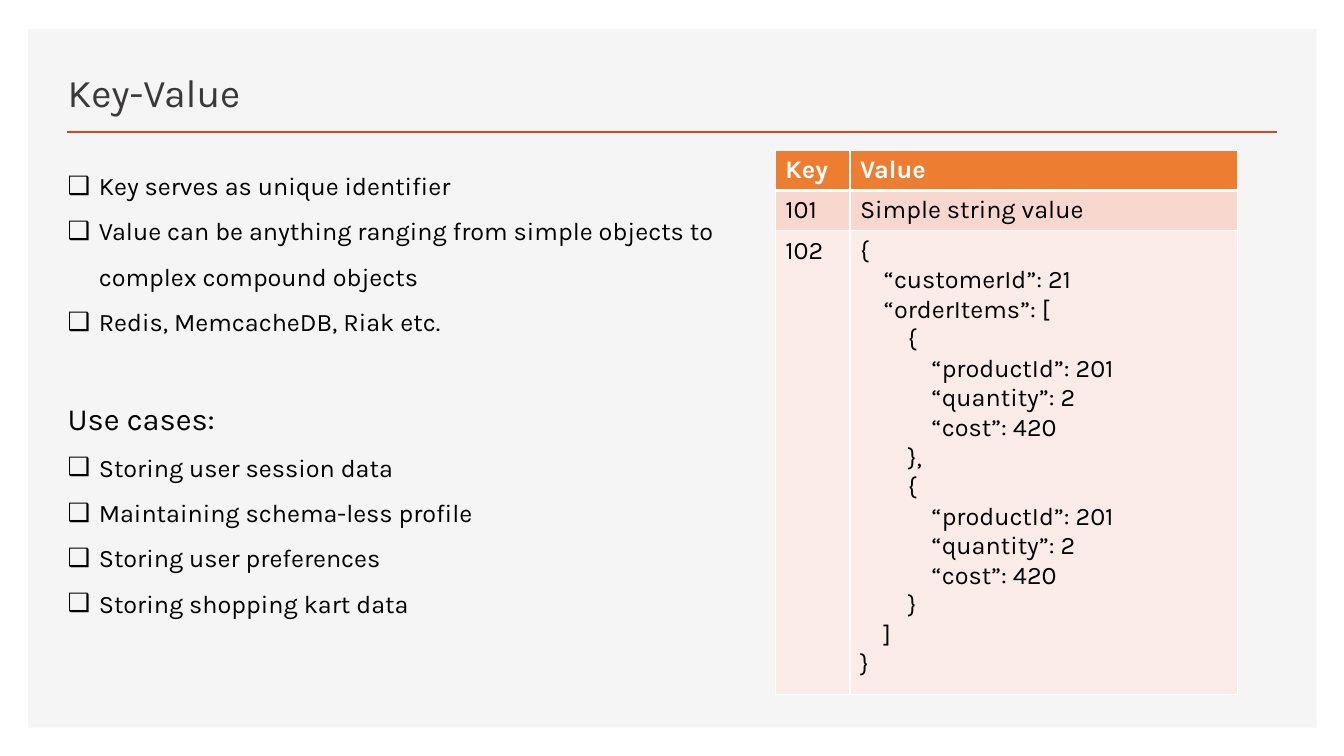
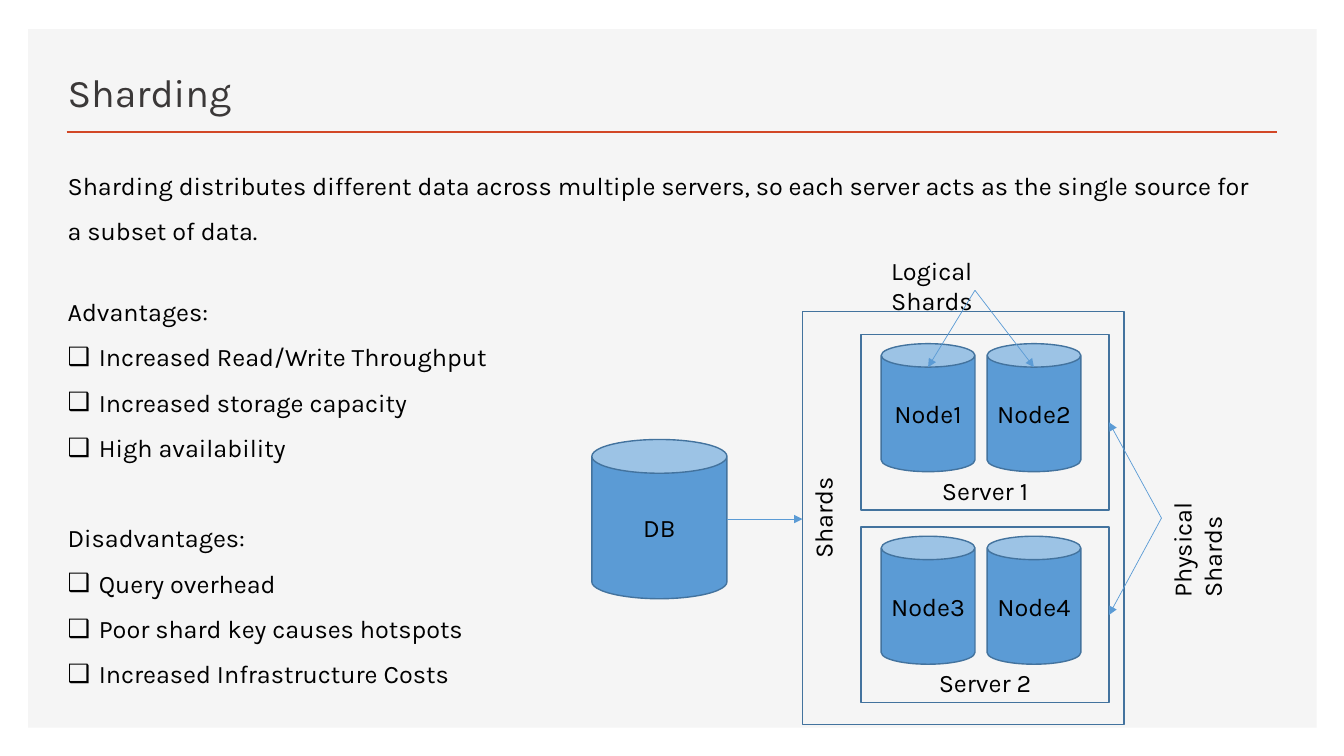
from dataclasses import dataclass

from lxml import etree
from pptx import Presentation
from pptx import util as u
from pptx.dml.color import RGBColor
from pptx.enum import shapes, text
from pptx.oxml import ns


@dataclass(frozen=True)
class Theme:
    font: str = "Karla"
    title_size: int = 28
    heading_size: int = 22
    body_size: int = 18
    paragraph_gap: int = 32
    ink: str = "000000"
    title_ink: str = "3B3838"
    white: str = "FFFFFF"
    band: str = "F5F5F5"
    accent: str = "D24726"
    blue: str = "5B9BD5"
    outline: str = "43739E"
    header: str = "ED7D31"
    rows: tuple = ("F8D7CE", "FCECE8")


@dataclass(frozen=True)
class Box:
    """Left, top, width and height in inches."""
    left: float
    top: float
    width: float
    height: float

    @property
    def right(self):
        return self.left + self.width

    @property
    def center(self):
        return self.left + self.width / 2

    @property
    def middle(self):
        return self.top + self.height / 2

    @property
    def emu(self):
        return [u.Inches(n) for n in (self.left, self.top, self.width, self.height)]

    def inside(self, left, top, width, height):
        return Box(self.left + left, self.top + top, width, height)


THEME = Theme()
PAGE = Box(0, 0, 13.33, 7.5)
BAND = PAGE.inside(0.28, 0.29, 12.78, 6.93)
TITLE = PAGE.inside(0.57, 0.49, 7.52, 0.7)
CONTENT = PAGE.inside(0.57, 1.49, 12.08, 5.4)
RULE_INSET, RULE_TOP = 0.66, 1.31
INDENT = 0.31


# Text and shape helpers
def color(value):
    return RGBColor.from_string(value)


def add_run(para, words, size=THEME.body_size, ink=THEME.ink, bold=False):
    span = para.add_run()
    span.text = words
    span.font.name = THEME.font
    span.font.size = u.Pt(size)
    span.font.color.rgb = color(ink)
    span.font.bold = bold


def fill_lines(frame, lines, **style):
    for number, line in enumerate(lines):
        para = frame.add_paragraph() if number else frame.paragraphs[0]
        add_run(para, line, **style)


def place(shape, box):
    shape.left, shape.top, shape.width, shape.height = box.emu


def set_bullet(para, mark):
    properties = para._p.get_or_add_pPr()
    indent = u.Inches(INDENT) if mark else 0
    properties.set("marL", str(indent))
    properties.set("indent", str(-indent))
    if mark:
        etree.SubElement(properties, ns.qn("a:buChar")).set("char", mark)
    else:
        etree.SubElement(properties, ns.qn("a:buNone"))


def add_preset(page, kind, box, fill=None, line=None):
    shape = page.shapes.add_shape(kind, *box.emu)
    shape.shadow.inherit = False
    if fill:
        shape.fill.solid()
        shape.fill.fore_color.rgb = color(fill)
    else:
        shape.fill.background()
    if line:
        shape.line.color.rgb = color(line)
        shape.line.width = u.Pt(1)
    else:
        shape.line.fill.background()
    return shape


def label(shape, words, anchor, upward=False):
    frame = shape.text_frame
    frame.word_wrap = True
    frame.vertical_anchor = anchor
    frame.paragraphs[0].alignment = text.PP_ALIGN.CENTER
    add_run(frame.paragraphs[0], words)
    if upward:
        turn_up(frame)


def turn_up(frame):
    frame._txBody.bodyPr.set("vert", "vert270")


def add_line(page, start, end, ink, width, arrow=False):
    points = [u.Inches(n) for n in (*start, *end)]
    line = page.shapes.add_connector(shapes.MSO_CONNECTOR.STRAIGHT, *points)
    line.line.color.rgb = color(ink)
    line.line.width = u.Pt(width)
    if arrow:
        outline = line.line._get_or_add_ln()
        etree.SubElement(outline, ns.qn("a:tailEnd")).set("type", "triangle")
    etree.SubElement(line.element.spPr, ns.qn("a:effectLst"))
    return line


def add_arrow(page, start, end):
    add_line(page, start, end, THEME.blue, 0.5, arrow=True)


def add_note(page, words, box, upward=False):
    frame = page.shapes.add_textbox(*box.emu).text_frame
    frame.word_wrap = True
    frame.auto_size = text.MSO_AUTO_SIZE.SHAPE_TO_FIT_TEXT
    add_run(frame.paragraphs[0], words)
    if upward:
        turn_up(frame)


# Shared page parts
def dress_master(deck, page):
    """Draw the band and title rule, then move them to the master."""
    band = add_preset(page, shapes.MSO_SHAPE.RECTANGLE, BAND, THEME.band)
    rule = add_line(page, (RULE_INSET, RULE_TOP),
                    (PAGE.right - RULE_INSET, RULE_TOP), THEME.accent, 2)
    tree = deck.slide_master.shapes.element
    for number, part in enumerate((band, rule)):
        part.element.xpath(".//p:cNvPr")[0].set("id", str(100 + number))
        tree.insert(2 + number, part.element)


def set_title(page, words):
    title = page.shapes.title
    place(title, TITLE)
    frame = title.text_frame
    frame.auto_size = text.MSO_AUTO_SIZE.NONE
    frame.vertical_anchor = text.MSO_ANCHOR.BOTTOM
    frame.paragraphs[0].alignment = text.PP_ALIGN.LEFT
    add_run(frame.paragraphs[0], words, THEME.title_size, THEME.title_ink)


def fill_body(body, box, sections, heading_size=THEME.body_size):
    """Each section is an optional heading with its bulleted items."""
    place(body, box)
    frame = body.text_frame
    frame.auto_size = text.MSO_AUTO_SIZE.NONE
    frame.vertical_anchor = text.MSO_ANCHOR.TOP
    first = True
    for heading, items in sections:
        lines = [(heading, heading_size, None)] if heading else []
        lines += [(item, THEME.body_size, "❑") for item in items]
        for number, (words, size, mark) in enumerate(lines):
            para = frame.paragraphs[0] if first else frame.add_paragraph()
            para.line_spacing = 1.5
            starts_section = number == 0 and not first
            para.space_before = u.Pt(THEME.paragraph_gap if starts_section else 0)
            set_bullet(para, mark)
            add_run(para, words, size)
            first = False


# Key-value page
DOCUMENT = """{
    “customerId”: 21
    “orderItems”: [
        {
            “productId”: 201
            “quantity”: 2
            “cost”: 420
        },
        {
            “productId”: 201
            “quantity”: 2
            “cost”: 420
        }
    ]
}"""


def set_borders(cell, top, bottom):
    properties = cell._tc.get_or_add_tcPr()
    sides = {"lnL": 1, "lnR": 1, "lnT": top, "lnB": bottom}
    for position, (side, width) in enumerate(sides.items()):
        line = etree.Element(ns.qn("a:" + side), w=str(u.Pt(width)))
        fill = etree.SubElement(line, ns.qn("a:solidFill"))
        etree.SubElement(fill, ns.qn("a:srgbClr")).set("val", THEME.white)
        properties.insert(position, line)


def key_value_table(page, box):
    records = [("Key", "Value"), ("101", "Simple string value"), ("102", DOCUMENT)]
    table = page.shapes.add_table(len(records), 2, *box.emu).table
    key_width, row_height = 0.74, 0.4
    for column, width in zip(table.columns, (key_width, box.width - key_width)):
        column.width = u.Inches(width)
    heights = (row_height, row_height, box.height - 2 * row_height)
    fills = (THEME.header, *THEME.rows)
    for number, record in enumerate(records):
        table.rows[number].height = u.Inches(heights[number])
        header = number == 0
        for column, words in enumerate(record):
            cell = table.cell(number, column)
            cell.fill.solid()
            cell.fill.fore_color.rgb = color(fills[number])
            set_borders(cell, 3 if number == 1 else 1, 3 if header else 1)
            fill_lines(cell.text_frame, words.split("\n"), bold=header,
                       ink=THEME.white if header else THEME.ink)


def key_value_page(page):
    set_title(page, "Key-Value")
    fill_body(page.placeholders[1], CONTENT.inside(0, 0, 6.87, 4.69), [
        (None, ["Key serves as unique identifier",
                "Value can be anything ranging from simple objects to "
                "complex compound objects",
                "Redis, MemcacheDB, Riak etc."]),
        ("Use cases:", ["Storing user session data",
                        "Maintaining schema-less profile",
                        "Storing user preferences",
                        "Storing shopping kart data"]),
    ], THEME.heading_size)
    key_value_table(page, CONTENT.inside(7.12, 0, 4.58, CONTENT.height))


# Sharding page
def database(page, words, box):
    can = add_preset(page, shapes.MSO_SHAPE.CAN, box, THEME.blue, THEME.outline)
    can.text_frame.margin_left = can.text_frame.margin_right = u.Inches(0.05)
    label(can, words, text.MSO_ANCHOR.MIDDLE)


def server(page, number, box):
    """Draw one server and return the boxes of its two nodes."""
    frame = add_preset(page, shapes.MSO_SHAPE.RECTANGLE, box, line=THEME.outline)
    label(frame, f"Server {number}", text.MSO_ANCHOR.BOTTOM)
    nodes = [box.inside(0.2 + 1.05 * slot, 0.09, 0.93, 1.27) for slot in range(2)]
    for slot, node in enumerate(nodes):
        database(page, f"Node{2 * number - 1 + slot}", node)
    return nodes


def shard_diagram(page, box):
    source = box.inside(0, 1.88, 1.34, 1.58)
    database(page, "DB", source)
    cluster = box.inside(2.09, 0.61, 3.19, 4.1)
    frame = add_preset(page, shapes.MSO_SHAPE.RECTANGLE, cluster, line=THEME.outline)
    label(frame, "Shards", text.MSO_ANCHOR.TOP, upward=True)
    servers = [cluster.inside(0.58, 0.23 + 1.91 * row, 2.46, 1.74) for row in range(2)]
    nodes = [server(page, row + 1, place_) for row, place_ in enumerate(servers)]

    add_note(page, "Physical Shards", box.inside(5.65, 1.73, 0.5, 1.82), upward=True)
    add_note(page, "Logical Shards", box.inside(2.87, 0, 1.86, 0.4))

    # Arrows
    add_arrow(page, (source.right, source.middle), (cluster.left, source.middle))
    logical = (box.left + 3.8, box.top + 0.4)
    for node in nodes[0]:
        add_arrow(page, logical, (node.center, node.top + node.width / 4))
    physical = (box.left + 5.65, cluster.middle)
    for target in servers:
        add_arrow(page, physical, (target.right, target.middle))


def sharding_page(page):
    set_title(page, "Sharding")
    fill_body(page.placeholders[1], CONTENT.inside(0, 0, CONTENT.width, 0.95), [
        ("Sharding distributes different data across multiple servers, so each "
         "server acts as the single source for a subset of data.", [])])
    fill_body(page.placeholders[2], CONTENT.inside(0, 1.25, 4.61, 4.13), [
        ("Advantages:", ["Increased Read/Write Throughput",
                         "Increased storage capacity", "High availability"]),
        ("Disadvantages:", ["Query overhead", "Poor shard key causes hotspots",
                            "Increased Infrastructure Costs"]),
    ])
    shard_diagram(page, CONTENT.inside(5.3, 0.99, 6.2, 4.71))


def main():
    deck = Presentation()
    deck.slide_width, deck.slide_height = PAGE.emu[2:]
    one_body, two_bodies = deck.slide_layouts[1], deck.slide_layouts[3]
    first = deck.slides.add_slide(one_body)
    dress_master(deck, first)
    key_value_page(first)
    sharding_page(deck.slides.add_slide(two_bodies))
    deck.save("out.pptx")


if __name__ == "__main__":
    main()
